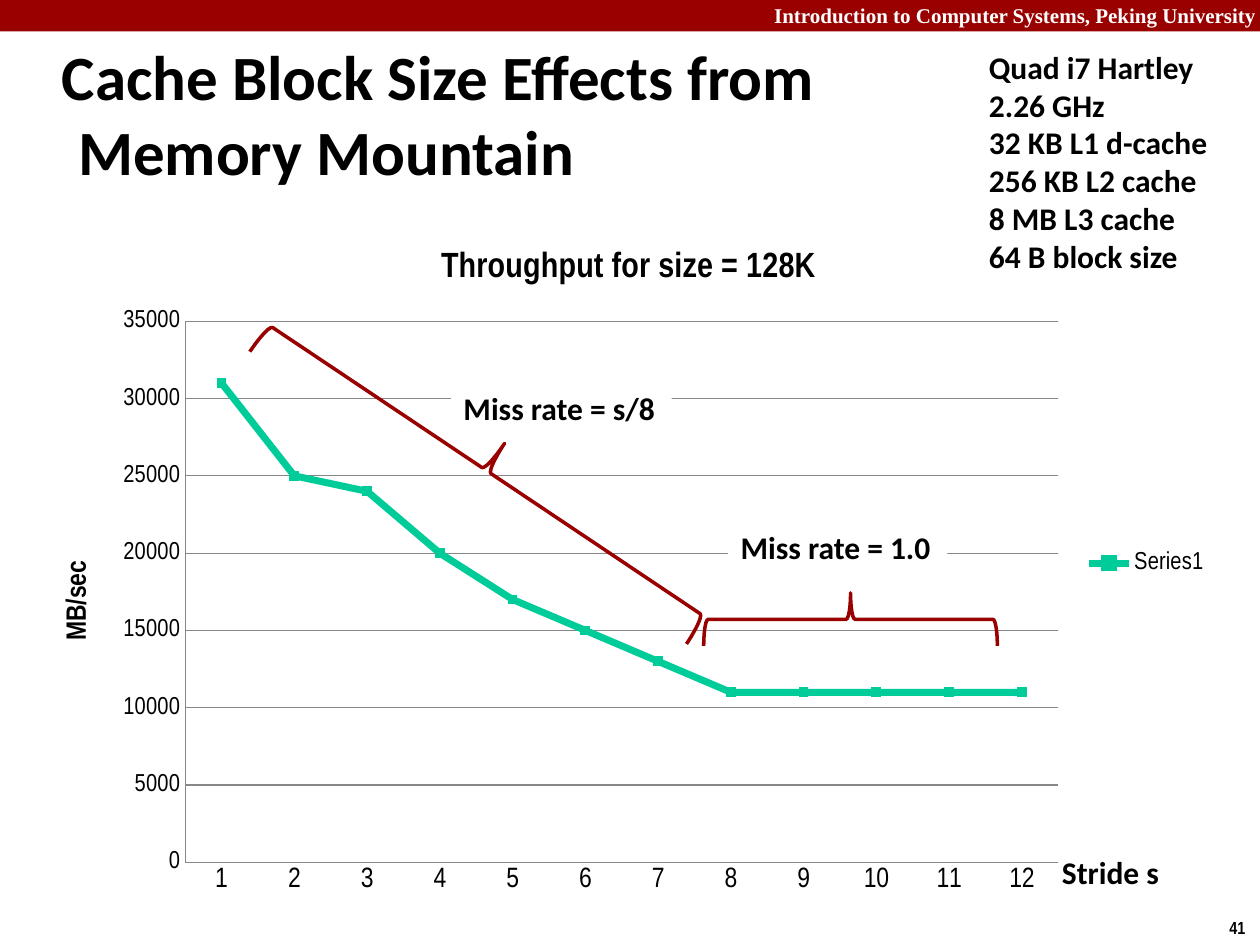
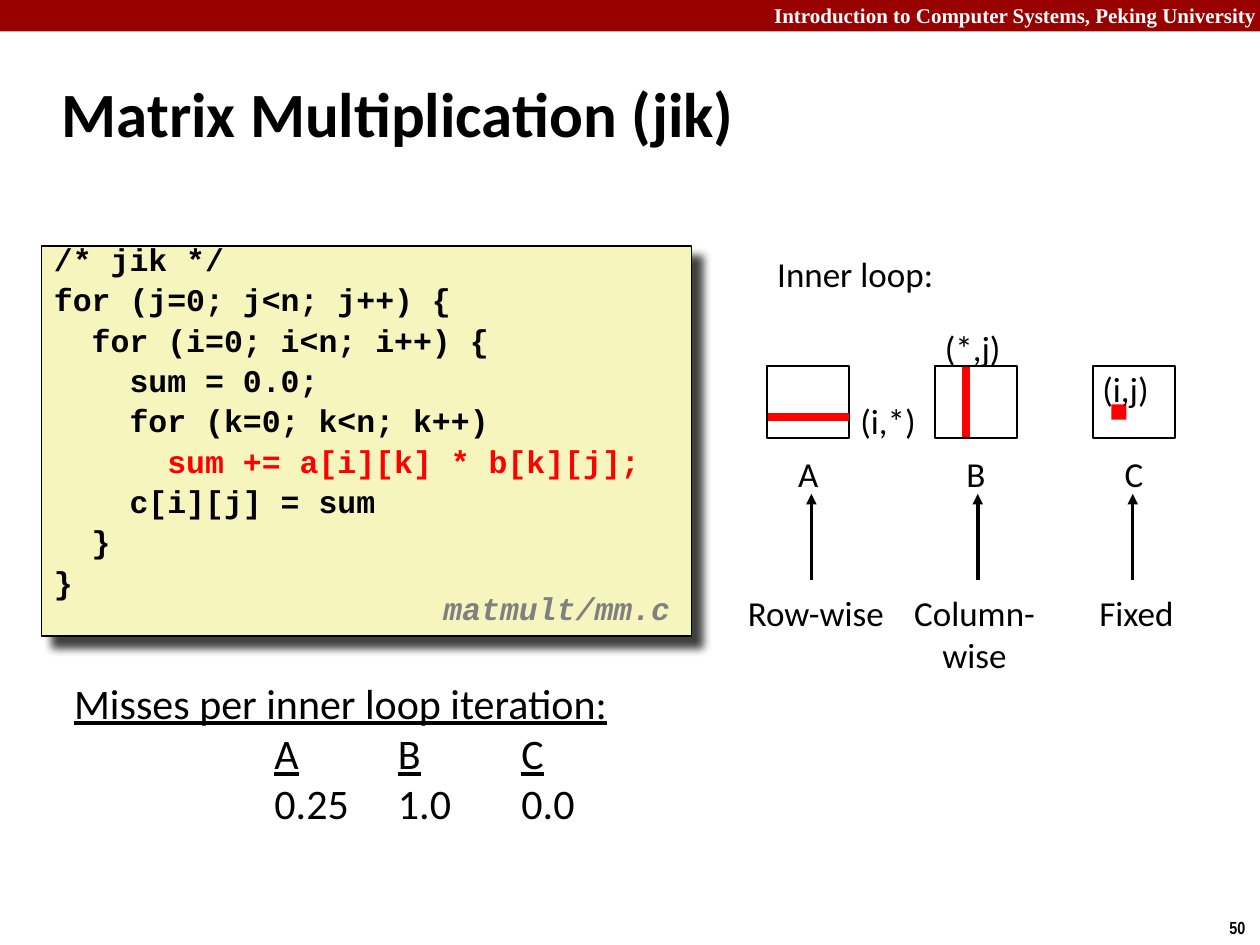
"""Build two lecture slides on cache behaviour: a throughput chart and a loop analysis."""
import pptx
import pptx.chart.data
import pptx.dml.color
import pptx.enum.chart
import pptx.enum.shapes
import pptx.enum.text
import pptx.oxml
import pptx.oxml.ns
import pptx.util

WIDTH, HEIGHT = pptx.util.Inches(10), pptx.util.Inches(7.5)
COLUMN, ROW = WIDTH / 100, HEIGHT / 75
CRIMSON, RED, BLACK, WHITE = "990000", "FF0000", "000000", "FFFFFF"
CREAM, GREEN, GRAY, GRID = "F6F5BD", "00CC99", "808080", "878787"
TITLE = {"size": 36, "name": "Calibri", "bold": True}
HEADER = {"size": 12, "name": "Times New Roman", "bold": True, "color": WHITE}
NUMBER = {"size": 10, "name": "Arial Narrow", "bold": True}
NOTE = {"size": 18, "name": "Calibri", "bold": True}
LABEL = {"size": 20, "name": "Calibri"}
MISSES = {"size": 24, "name": "Calibri"}
CODE = {"size": 18, "name": "Courier New", "bold": True}
LEFT = pptx.enum.text.PP_ALIGN.LEFT
CENTER = pptx.enum.text.PP_ALIGN.CENTER
RIGHT = pptx.enum.text.PP_ALIGN.RIGHT
RECTANGLE = pptx.enum.shapes.MSO_SHAPE.RECTANGLE
DRAWING = pptx.oxml.ns.nsdecls("a")

THROUGHPUT = [31000, 25000, 24000, 20000, 17000, 15000,
              13000, 11000, 11000, 11000, 11000, 11000]
MACHINE = ["Quad i7 Hartley", "2.26 GHz", "32 KB L1 d-cache",
           "256 KB L2 cache", "8 MB L3 cache", "64 B block size"]
LOOP = ["/* jik */", "for (j=0; j<n; j++) {", "  for (i=0; i<n; i++) {",
        "    sum = 0.0;", "    for (k=0; k<n; k++)",
        [("      ", {}), ("sum += a[i][k] * b[k][j];", {"color": RED})],
        "    c[i][j] = sum", "  }", "}"]
MATRICES = [("A", 60.9, 64.4, 64.75, ["Row-wise"]),
            ("B", 74.2, 77.6, 77.35, ["Column-", "wise"]),
            ("C", 86.75, 89.9, 90.2, ["Fixed"])]


def paint(target, color):
    """Give a fill, line or font format a solid colour."""
    if hasattr(target, "solid"):
        target.solid()
        target.fore_color.rgb = pptx.dml.color.RGBColor.from_string(color)
    else:
        target.color.rgb = pptx.dml.color.RGBColor.from_string(color)


def place(left, top, wide, high):
    """Turn grid columns and rows into slide lengths."""
    return [round(length) for length in
            (left * COLUMN, top * ROW, wide * COLUMN, high * ROW)]


def style_font(font, size, name, color=BLACK, bold=False, italic=False, underline=False):
    """Set every font property that the slides use."""
    font.size = pptx.util.Pt(size)
    font.name = name
    font.bold, font.italic, font.underline = bold, italic, underline
    paint(font, color)


def add_span(para, text, style):
    """Add one formatted run to a paragraph."""
    span = para.add_run()
    span.text = text
    style_font(span.font, **style)


def write(frame, lines, style, align=LEFT):
    """Fill a text frame, one paragraph a line; a line is text or a list of spans."""
    for index, line in enumerate(lines):
        para = frame.add_paragraph() if index else frame.paragraphs[0]
        para.alignment = align
        spans = [(line, {})] if isinstance(line, str) else line
        for text, changes in spans:
            add_span(para, text, {**style, **changes})


def add_text(page, area, lines, style, align=LEFT, wrap=False, fill=None):
    """Add a text box, with a fill if one is named."""
    box = page.shapes.add_textbox(*place(*area))
    box.text_frame.word_wrap = wrap
    if fill:
        paint(box.fill, fill)
    write(box.text_frame, lines, style, align)
    return box


def add_box(page, area, fill=None, line=None, weight=1, kind=RECTANGLE, turn=0):
    """Add a preset shape without a shadow."""
    box = page.shapes.add_shape(kind, *place(*area))
    box.shadow.inherit = False
    box.rotation = turn
    if fill:
        paint(box.fill, fill)
    else:
        box.fill.background()
    if line:
        paint(box.line, line)
        box.line.width = pptx.util.Pt(weight)
    else:
        box.line.fill.background()
    return box


def add_line(page, start, end, color, weight, arrow=False):
    """Add a straight line, with an arrowhead at its end on request."""
    x1, y1, x2, y2 = place(*start, *end)
    line = page.shapes.add_connector(
        pptx.enum.shapes.MSO_CONNECTOR.STRAIGHT, x1, y1, x2, y2)
    paint(line.line, color)
    line.line.width = pptx.util.Pt(weight)
    if arrow:
        line.line._get_or_add_ln().append(
            pptx.oxml.parse_xml(f'<a:tailEnd {DRAWING} type="triangle"/>'))
    line._element.spPr.append(pptx.oxml.parse_xml(f"<a:effectLst {DRAWING}/>"))


def add_shadow(box):
    """Give a box a soft shadow towards its lower right."""
    effects = box._element.spPr.find(pptx.oxml.ns.qn("a:effectLst"))
    effects.append(pptx.oxml.parse_xml(
        f'<a:outerShdw {DRAWING} blurRad="{pptx.util.Pt(5)}" dist="{pptx.util.Pt(8.5)}"'
        f' dir="2700000" algn="tl" rotWithShape="0"><a:srgbClr val="{BLACK}">'
        '<a:alpha val="75000"/></a:srgbClr></a:outerShdw>'))


def add_page(deck, title, title_width, number):
    """Add a slide with its title, top band and page number."""
    page = deck.slides.add_slide(deck.slide_layouts[5])
    heading = page.shapes.title
    heading.left, heading.top, heading.width, heading.height = place(
        3.9, 4.8, title_width, 8.3)
    frame = heading.text_frame
    frame.word_wrap = True
    frame.auto_size = pptx.enum.text.MSO_AUTO_SIZE.NONE
    frame.vertical_anchor = pptx.enum.text.MSO_ANCHOR.MIDDLE
    write(frame, [title], TITLE)
    hanging = pptx.util.Inches(0.13)
    properties = frame.paragraphs[0]._p.get_or_add_pPr()
    properties.set("marL", str(hanging))
    properties.set("indent", str(-hanging))
    add_box(page, (0, 0, 100, 2.5), CRIMSON)
    add_text(page, (60, -0.3, 40.7, 3),
             ["Introduction to Computer Systems, Peking University"], HEADER, RIGHT, True)
    add_text(page, (96.6, 72.3, 3.4, 2.7), [number], NUMBER)
    return page


def set_plot_area(chart, area, plot):
    """Fix the inner plot area, given on the slide's grid."""
    left, top, wide, high = area
    shares = ((plot[0] - left) / wide, (plot[1] - top) / high,
              plot[2] / wide, plot[3] / high)
    plot_area = chart._chartSpace.chart.plotArea
    for layout in plot_area.findall(pptx.oxml.ns.qn("c:layout")):
        plot_area.remove(layout)
    marks = "".join(f'<c:{tag} val="{share:.4f}"/>' for tag, share in zip("xywh", shares))
    plot_area.insert(0, pptx.oxml.parse_xml(
        f'<c:layout {pptx.oxml.ns.nsdecls("c")}><c:manualLayout>'
        '<c:layoutTarget val="inner"/><c:xMode val="edge"/><c:yMode val="edge"/>'
        f'{marks}</c:manualLayout></c:layout>'))


def style_axis(axis, size):
    """Format an axis: no ticks, thin gray line, plain labels."""
    axis.major_tick_mark = axis.minor_tick_mark = pptx.enum.chart.XL_TICK_MARK.NONE
    style_font(axis.tick_labels.font, size, "Arial Narrow")
    paint(axis.format.line, GRID)


def add_throughput_chart(page, area, plot):
    """Add the line chart of throughput against stride."""
    data = pptx.chart.data.CategoryChartData()
    data.categories = [str(stride) for stride in range(1, len(THROUGHPUT) + 1)]
    data.add_series("Series1", THROUGHPUT)
    chart = page.shapes.add_chart(
        pptx.enum.chart.XL_CHART_TYPE.LINE_MARKERS, *place(*area), data).chart
    style_font(chart.font, 10, "Arial Narrow")
    chart.has_title = True
    write(chart.chart_title.text_frame, ["Throughput for size = 128K"],
          {**NUMBER, "size": 20}, CENTER)
    chart.has_legend = True
    chart.legend.position = pptx.enum.chart.XL_LEGEND_POSITION.RIGHT
    chart.legend.include_in_layout = False
    style_font(chart.legend.font, 14, "Arial Narrow")
    style_axis(chart.category_axis, 16)
    values = chart.value_axis
    style_axis(values, 14)
    values.minimum_scale, values.maximum_scale, values.major_unit = 0, 35000, 5000
    paint(values.major_gridlines.format.line, GRID)
    write(values.axis_title.text_frame, ["MB/sec"], {**NUMBER, "size": 16}, CENTER)
    chart.plots[0].vary_by_categories = False
    series = chart.plots[0].series[0]
    series.smooth = False
    paint(series.format.line, GREEN)
    series.format.line.width = pptx.util.Pt(4)
    series.marker.style = pptx.enum.chart.XL_MARKER_STYLE.SQUARE
    series.marker.size = 5
    paint(series.marker.format.fill, GREEN)
    paint(series.marker.format.line, GREEN)
    set_plot_area(chart, area, plot)


def add_code(page):
    """Add the loop listing with its shadow and file name."""
    box = add_box(page, (3.3, 19.5, 51.6, 31), CREAM, BLACK)
    add_shadow(box)
    frame = box.text_frame
    frame.word_wrap = True
    frame.vertical_anchor = pptx.enum.text.MSO_ANCHOR.TOP
    write(frame, LOOP, CODE)
    for index, para in enumerate(frame.paragraphs):
        para.line_spacing = 0.65
        if index:
            para.space_before = pptx.util.Pt(9)
    name = add_text(page, (34.2, 46.5, 20.8, 3.9), ["matmult/mm.c"],
                    {**CODE, "italic": True, "color": GRAY})
    name.text_frame.paragraphs[0].line_spacing = 0.94


def add_matrices(page):
    """Add the three matrices with their access patterns."""
    add_text(page, (60.7, 19.55, 14.5, 4.3), ["Inner loop:"], LABEL)
    for letter, left, arrow, middle, pattern in MATRICES:
        add_box(page, (left, 29.05, 6.5, 5.7), WHITE, BLACK)
        add_text(page, (left, 35.4, 6.5, 4.3), [letter], LABEL, CENTER)
        add_line(page, (arrow, 46), (arrow, 39.2), BLACK, 2, arrow=True)
        add_text(page, (middle - 6.5, 46.45, 13, 4.3 * len(pattern)), pattern, LABEL, CENTER)
    add_line(page, (76.7, 29.1), (76.7, 34.7), RED, 4.5)
    add_line(page, (60.95, 33.1), (67.35, 33.1), RED, 4.5)
    add_box(page, (88.2, 32.1, 1.2, 1.2), RED)
    for index, left, top in (("(i,*)", 67.3, 31.2), ("(*,j)", 74, 25.4), ("(i,j)", 86.5, 28.7)):
        add_text(page, (left, top, 6.4, 4.3), [index], LABEL)


def add_misses(page):
    """Add the miss counts, lined up by evenly spaced tabs."""
    line = {"underline": True}
    names = [part for letter in "ABC" for part in (("\t", {}), (letter, line))]
    box = add_text(page, (4.9, 53.25, 59.6, 13.4),
                   [[("Misses per inner loop iteration:", line)], names, "\t0.25\t1.0\t0.0"],
                   MISSES, wrap=True)
    stops = "".join(f'<a:tab pos="{pptx.util.Inches(1.59 + 0.98 * step)}" algn="l"/>'
                    for step in range(3))
    for para in box.text_frame.paragraphs[1:]:
        para._p.get_or_add_pPr().append(
            pptx.oxml.parse_xml(f"<a:tabLst {DRAWING}>{stops}</a:tabLst>"))


def build_mountain_page(deck):
    """Build the slide on block size effects."""
    page = add_page(deck, "Cache Block Size Effects from Memory Mountain", 66.9, "41")
    add_throughput_chart(page, (2.8, 17.5, 94.2, 54.4), (14.7, 25.5, 69.3, 42.95))
    add_text(page, (77.5, 3.3, 19.5, 19.2), MACHINE, NOTE)
    for area, turn in (((65.4, 37.5, 4.2, 23.3), 90), ((36, 16.5, 5.2, 41.7), 123.8)):
        add_box(page, area, line=CRIMSON, weight=2, turn=turn,
                kind=pptx.enum.shapes.MSO_SHAPE.LEFT_BRACE)
    add_text(page, (35.8, 30.4, 17.5, 4), ["Miss rate = s/8"], NOTE, fill=WHITE)
    add_text(page, (57.8, 41.4, 17.4, 4), ["Miss rate = 1.0"], NOTE, fill=WHITE)
    add_text(page, (83.3, 67.2, 9.8, 4), ["Stride s"], NOTE)


def build_loop_page(deck):
    """Build the slide on the jik loop order."""
    page = add_page(deck, "Matrix Multiplication (jik)", 83, "50")
    add_code(page)
    add_matrices(page)
    add_misses(page)


def main():
    """Build and save the deck."""
    deck = pptx.Presentation()
    deck.slide_width, deck.slide_height = WIDTH, HEIGHT
    build_mountain_page(deck)
    build_loop_page(deck)
    deck.save("out.pptx")


if __name__ == "__main__":
    main()
